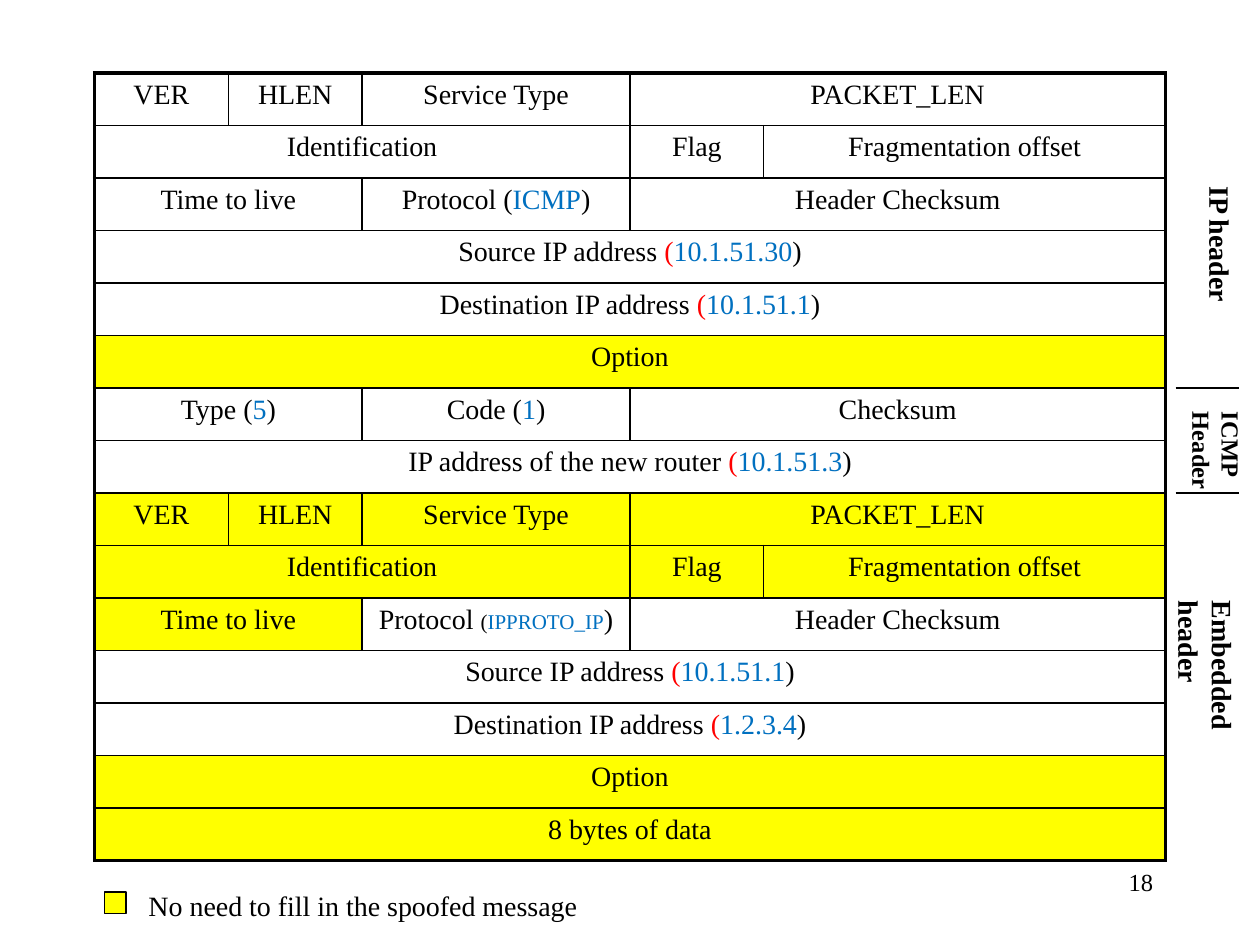
from lxml.etree import SubElement as Sub
from pptx import Presentation
from pptx.dml.color import RGBColor as Rgb
from pptx.enum.shapes import MSO_CONNECTOR as Conn, MSO_SHAPE as Shape
from pptx.enum.text import MSO_AUTO_SIZE as Auto, PP_ALIGN as Align
from pptx.oxml.ns import qn
from pptx.util import Inches, Pt

THEME = {
    "font": "Times New Roman",
    "ink": Rgb(0, 0, 0),
    "blue": Rgb(0x00, 0x70, 0xC0),
    "red": Rgb(0xFF, 0, 0),
    "mark": Rgb(0xFF, 0xFF, 0),
    "body": 16, "note": 14, "small": 12,
    "rim": 2.25, "rule": 1, "thin": 0.75,
}


def value(label, text, color="ink"):
    return [(label,), ("(", color), (text, "blue"), (")",)]


def address(label, text):
    return [(5, value(label + " IP address ", text, "red"), False)]


def header(proto, source, target, skip):
    return [
        [(1, [("VER",)], skip), (1, [("HLEN",)], skip),
         (1, [("Service Type",)], skip), (2, [("PACKET_LEN",)], skip)],
        [(3, [("Identification",)], skip), (1, [("Flag",)], skip),
         (1, [("Fragmentation offset",)], skip)],
        [(2, [("Time to live",)], skip), (1, proto, False),
         (2, [("Header Checksum",)], False)],
        address("Source", source),
        address("Destination", target),
        [(5, [("Option",)], True)],
    ]


INNER = [("Protocol ",), ("(", "ink", "small"),
         ("IPPROTO_IP", "blue", "small"), (")",)]
ROWS = [
    *header(value("Protocol ", "ICMP"), "10.1.51.30", "10.1.51.1", False),
    [(2, value("Type ", "5"), False), (1, value("Code ", "1"), False),
     (2, [("Checksum",)], False)],
    [(5, value("IP address of the new router ", "10.1.51.3", "red"), False)],
    *header(INNER, "10.1.51.1", "1.2.3.4", True),
    [(5, [("8 bytes of data",)], True)],
]
UNITS = [1, 1, 2, 1, 3]
LEFT, TOP, WIDE, HIGH = 0.75, 0.58, 8.5, 6.25
SIDES = [
    ("IP header", "body", (9.4, 1.38, 0.47, 1.2)),
    ("ICMP Header", "note", (9.27, 3.17, 0.67, 0.88)),
    ("Embedded header", "body", (9.42, 4.67, 0.47, 1.92)),
]
ICMP_ROWS = (6, 8)


def write(para, runs, bold=False):
    for text, color, size in ((*run, "ink", "body")[:3] if len(run) == 1
                              else (*run, "body")[:3] for run in runs):
        run = para.add_run()
        run.text = text
        font = run.font
        font.name, font.size, font.bold = THEME["font"], Pt(THEME[size]), bold
        font.color.rgb = THEME[color]


def label(slide, box, runs, wrap=True, bold=False, grow=True):
    frame = slide.shapes.add_textbox(*map(Inches, box)).text_frame
    frame.word_wrap = wrap
    frame.auto_size = Auto.SHAPE_TO_FIT_TEXT if grow else Auto.NONE
    write(frame.paragraphs[0], runs, bold)
    return frame


def border(cell, edges):
    props = cell._tc.get_or_add_tcPr()
    for side in "LRTB":
        if side in edges:
            line = Sub(props, qn("a:ln" + side), w=str(Pt(edges[side])))
            fill = Sub(line, qn("a:solidFill"))
            Sub(fill, qn("a:srgbClr"), val=str(THEME["ink"]))


def packet(slide):
    last, end = len(ROWS) - 1, len(UNITS)
    table = slide.shapes.add_table(
        len(ROWS), end, *map(Inches, (LEFT, TOP, WIDE, HIGH))).table
    table.first_row = table.horz_banding = False
    for col, unit in zip(table.columns, UNITS):
        col.width = Inches(WIDE * unit / sum(UNITS))
    for row in table.rows:
        row.height = Inches(HIGH / len(ROWS))

    def width(outer):
        return THEME["rim" if outer else "rule"]

    for r, row in enumerate(ROWS):
        c = 0
        for span, runs, skip in row:
            stop = c + span
            edges = {"L": width(c == 0), "R": width(stop == end),
                     "T": width(r == 0), "B": width(r == last)}
            cell = table.cell(r, c)
            if span > 1:
                cell.merge(table.cell(r, stop - 1))
            for i in range(c, stop):
                keep = "LRTB" if i == c else "RTB" if i == stop - 1 else "TB"
                part = table.cell(r, i)
                border(part, {side: edges[side] for side in keep})
                if skip:
                    part.fill.solid()
                    part.fill.fore_color.rgb = THEME["mark"]
                else:
                    part.fill.background()
            para = cell.text_frame.paragraphs[0]
            para.alignment = Align.CENTER
            para.space_before = Pt(0.2 * THEME["body"])
            write(para, runs)
            c = stop


def legend(slide):
    key = slide.shapes.add_shape(
        Shape.RECTANGLE, *map(Inches, (0.83, 7.08, 0.17, 0.17)))
    key.shadow.inherit = False
    key.fill.solid()
    key.fill.fore_color.rgb = THEME["mark"]
    key.line.color.rgb = THEME["ink"]
    key.line.width = Pt(THEME["thin"])
    label(slide, (1.08, 7, 3.62, 0.37),
          [("No need to fill in the spoofed message",)], wrap=False)


def margin(slide):
    for text, size, box in SIDES:
        frame = label(slide, box, [(text, "ink", size)], bold=True)
        frame._txBody.bodyPr.set("vert", "eaVert")
    for row in ICMP_ROWS:
        y = TOP + row * HIGH / len(ROWS)
        line = slide.shapes.add_connector(
            Conn.STRAIGHT, *map(Inches, (9.33, y, 9.83, y)))
        line.line.color.rgb = THEME["ink"]
        line.line.width = Pt(THEME["thin"])
        Sub(line._element.spPr, qn("a:effectLst"))


def main():
    deck = Presentation()
    deck.slide_width, deck.slide_height = Inches(10), Inches(7.5)
    slide = deck.slides.add_slide(deck.slide_layouts[6])
    page = label(slide, (7.17, 6.83, 2.08, 0.5),
                 [("18", "ink", "note")], grow=False)
    page.paragraphs[0].alignment = Align.RIGHT
    packet(slide)
    legend(slide)
    margin(slide)
    deck.save("out.pptx")


if __name__ == "__main__":
    main()
